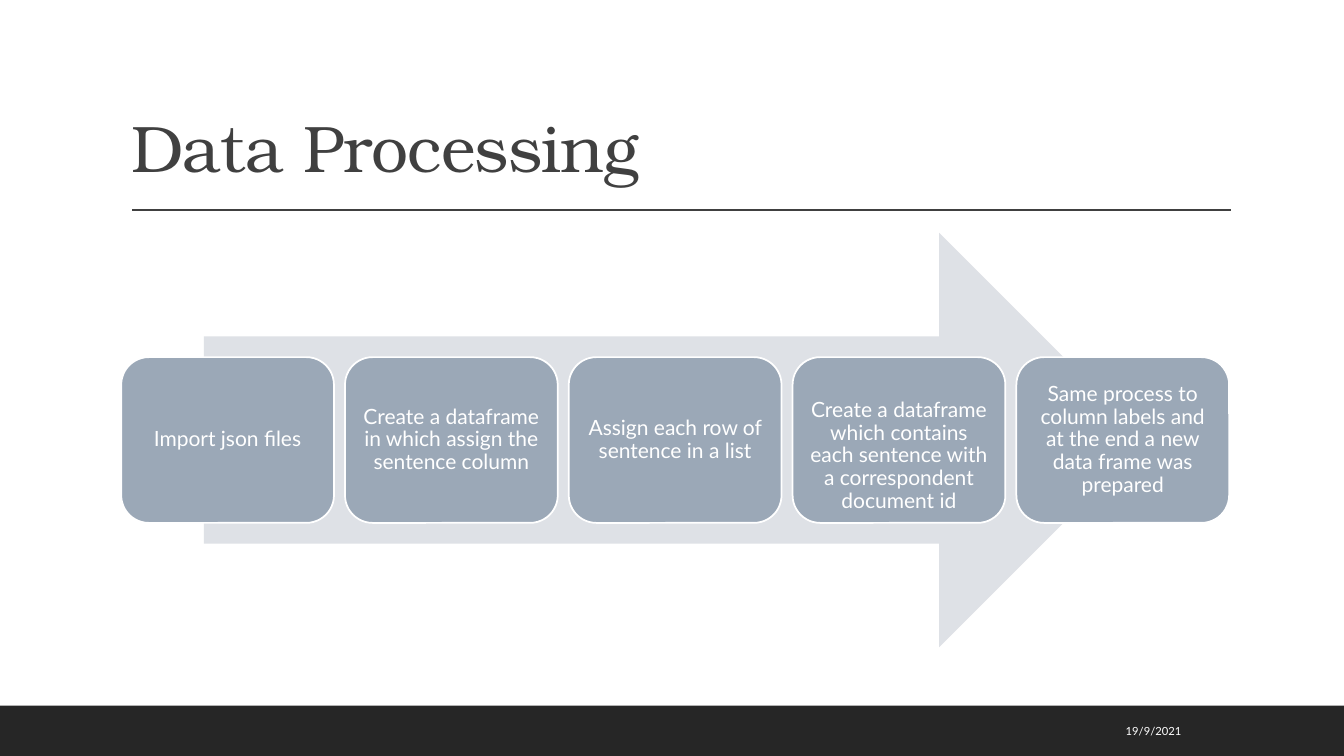
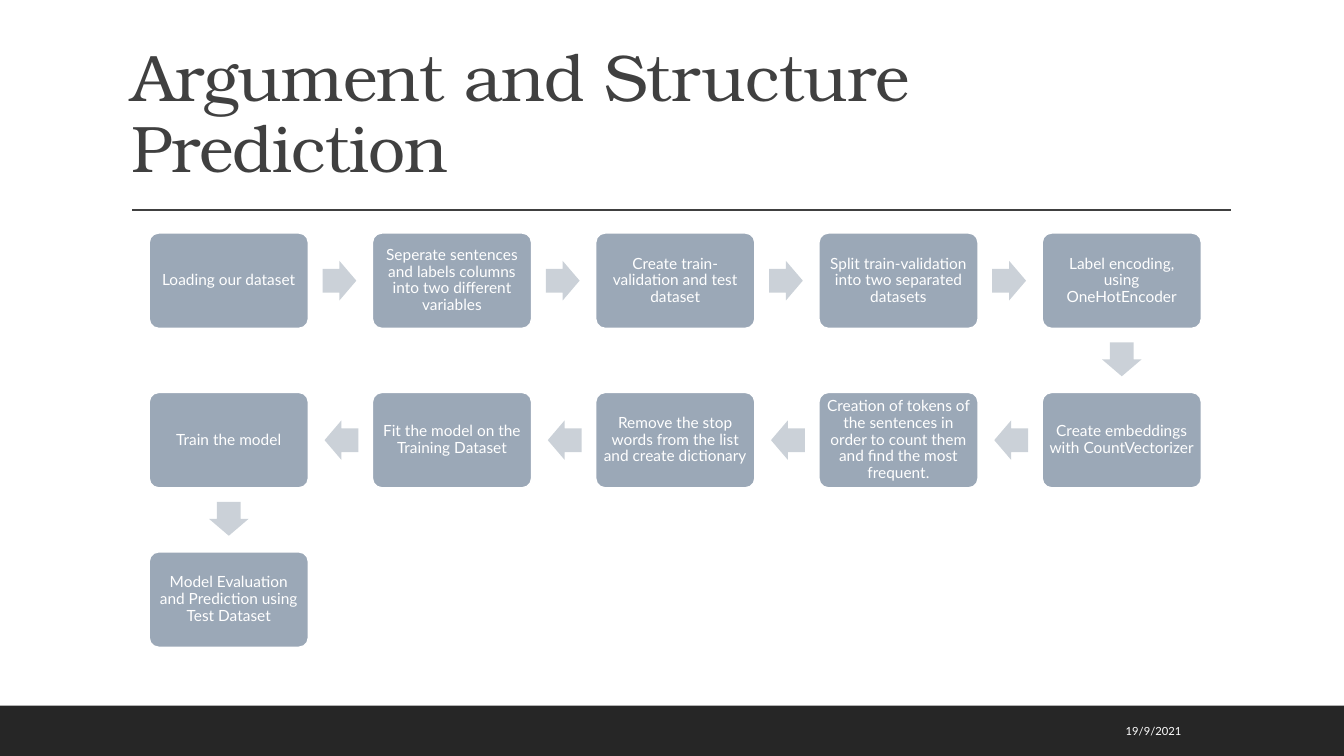
from dataclasses import dataclass

from lxml import etree
from pptx import Presentation
from pptx.dml.color import RGBColor
from pptx.enum.shapes import MSO_CONNECTOR, MSO_SHAPE
from pptx.enum.text import MSO_ANCHOR, MSO_AUTO_SIZE, PP_ALIGN
from pptx.oxml.ns import qn
from pptx.util import Pt

RECTANGLE = MSO_SHAPE.RECTANGLE
ROUNDED = MSO_SHAPE.ROUNDED_RECTANGLE
ARROW = MSO_SHAPE.RIGHT_ARROW
STRAIGHT = MSO_CONNECTOR.STRAIGHT
MIDDLE, BOTTOM = MSO_ANCHOR.MIDDLE, MSO_ANCHOR.BOTTOM
LEFT, CENTER, RIGHT = PP_ALIGN.LEFT, PP_ALIGN.CENTER, PP_ALIGN.RIGHT
FIXED_SIZE = MSO_AUTO_SIZE.NONE

WIDTH, HEIGHT = 960, 540
TITLE_ONLY = 5
DATE = "19/9/2021"

PROCESSING_STEPS = [
    "Import json files",
    "Create a dataframe in which assign the sentence column",
    "Assign each row of sentence in a list",
    "Create a dataframe which contains each sentence with a correspondent document id",
    "Same process to column labels and at the end a new data frame was prepared",
]
LOWERED_STEP = 3

PREDICTION_STEPS = [
    "Loading our dataset",
    "Seperate sentences and labels columns into two different variables",
    "Create train-validation and test dataset",
    "Split train-validation into two separated datasets",
    "Label encoding, using OneHotEncoder",
    "Create embeddings with CountVectorizer",
    "Creation of tokens of the sentences in order to count them and find the most frequent.",
    "Remove the stop words from the list and create dictionary",
    "Fit the model on the Training Dataset",
    "Train the model",
    "Model Evaluation and Prediction using Test Dataset",
]


@dataclass(frozen=True)
class Theme:
    ink: RGBColor = RGBColor(0x40, 0x40, 0x40)
    band: RGBColor = RGBColor(0x26, 0x26, 0x26)
    step: RGBColor = RGBColor(0x9B, 0xA8, 0xB7)
    small_arrow: RGBColor = RGBColor(0xCB, 0xD1, 0xD8)
    big_arrow: RGBColor = RGBColor(0xDE, 0xE1, 0xE6)
    white: RGBColor = RGBColor(0xFF, 0xFF, 0xFF)
    title_font: str = "TeX Gyre Bonum"
    body_font: str = "Lato"
    title_size: float = 47
    large_step_size: float = 15
    small_step_size: float = 11
    date_size: float = 8


class Deck:
    """Holds the theme, the presentation and the slide being drawn."""

    def __init__(self, theme):
        self.theme = theme
        self.presentation = Presentation()
        self.presentation.slide_width = Pt(WIDTH)
        self.presentation.slide_height = Pt(HEIGHT)
        self.slide = None

    def new_slide(self, title):
        layout = self.presentation.slide_layouts[TITLE_ONLY]
        self.slide = self.presentation.slides.add_slide(layout)
        self.title(title)
        self.shape(RECTANGLE, 0, 504, WIDTH, 36, self.theme.band)
        self.rule(94.5, 879, 150)
        self.date()

    def set_text(self, frame, text, font, size, color, align, anchor):
        """Put one styled paragraph in a text frame and return it."""
        frame.word_wrap = True
        frame.auto_size = FIXED_SIZE
        frame.vertical_anchor = anchor
        frame.text = text
        paragraph = frame.paragraphs[0]
        paragraph.alignment = align
        for run in paragraph.runs:
            run.font.name = font
            run.font.size = Pt(size)
            run.font.color.rgb = color
        return paragraph

    def title(self, text):
        heading = self.slide.shapes.title
        heading.left, heading.top = Pt(86.4), Pt(22.5)
        heading.width, heading.height = Pt(792), Pt(114.5)
        theme = self.theme
        paragraph = self.set_text(heading.text_frame, text, theme.title_font,
                                  theme.title_size, theme.ink, LEFT, BOTTOM)
        paragraph.line_spacing = 0.9
        paragraph.runs[0]._r.get_or_add_rPr().set("spc", "-50")

    def rule(self, left, right, y):
        line = self.slide.shapes.add_connector(STRAIGHT, Pt(left), Pt(y), Pt(right), Pt(y))
        line.line.color.rgb = self.theme.ink
        line.line.width = Pt(1)
        etree.SubElement(line._element.spPr, qn("a:effectLst"))

    def date(self):
        box = self.slide.shapes.add_textbox(Pt(647.3), Pt(507.6), Pt(203.8), Pt(28.8))
        self.set_text(box.text_frame, DATE, self.theme.body_font,
                      self.theme.date_size, self.theme.white, RIGHT, MIDDLE)

    def shape(self, kind, left, top, width, height, color):
        shape = self.slide.shapes.add_shape(kind, Pt(left), Pt(top), Pt(width), Pt(height))
        shape.shadow.inherit = False
        shape.fill.solid()
        shape.fill.fore_color.rgb = color
        shape.line.fill.background()
        return shape

    def step(self, text, left, top, width, height, size, inset):
        theme = self.theme
        box = self.shape(ROUNDED, left, top, width, height, theme.step)
        box.line.color.rgb = theme.white
        box.line.width = Pt(1.25)
        frame = box.text_frame
        frame.margin_left = frame.margin_right = Pt(inset)
        frame.margin_top = frame.margin_bottom = Pt(inset)
        paragraph = self.set_text(frame, text, theme.body_font, size,
                                  theme.white, CENTER, MIDDLE)
        paragraph.line_spacing = 0.9
        return box

    def small_arrow(self, center_x, center_y, rotation):
        width, height = 24.15, 28.25
        arrow = self.shape(ARROW, center_x - width / 2, center_y - height / 2,
                           width, height, self.theme.small_arrow)
        arrow.adjustments[0] = 0.6
        arrow.rotation = rotation


def processing_slide(deck):
    deck.new_slide("Data Processing")
    deck.shape(ARROW, 145.6, 166.3, 673.2, 296, deck.theme.big_arrow)
    left, top, width, height, pitch = 86.6, 255.1, 152, 118.4, 159.85
    for index, text in enumerate(PROCESSING_STEPS):
        box = deck.step(text, left + index * pitch, top, width, height,
                        deck.theme.large_step_size, 4.5)
        if index == LOWERED_STEP:
            box.text_frame.margin_top = Pt(23)
            box.text_frame.margin_bottom = 0


def prediction_slide(deck):
    """Lay the steps out as a winding path, turning at each row end."""
    deck.new_slide("Argument and Structure Prediction")
    left, top, width, columns = 106.5, 166.3, 113.9, 5
    height, column_pitch, row_pitch = 0.6 * width, 1.4 * width, width
    arrow_setback = 0.7
    previous = None
    for index, text in enumerate(PREDICTION_STEPS):
        row, column = divmod(index, columns)
        if row % 2:
            column = columns - 1 - column
        x, y = left + column * column_pitch, top + row * row_pitch
        if previous:
            from_x, from_y = previous
            step_x = (x > from_x) - (x < from_x)
            step_y = int(y > from_y)
            rotation = 90 if step_y else 0 if step_x > 0 else 180
            deck.small_arrow((x + from_x + width) / 2 - step_x * arrow_setback,
                             (y + from_y + height) / 2 - step_y * arrow_setback,
                             rotation)
        box = deck.step(text, x, y, width, height, deck.theme.small_step_size, 3.3)
        box.adjustments[0] = 0.1
        previous = x, y


def main():
    deck = Deck(Theme())
    processing_slide(deck)
    prediction_slide(deck)
    deck.presentation.save("out.pptx")


if __name__ == "__main__":
    main()
